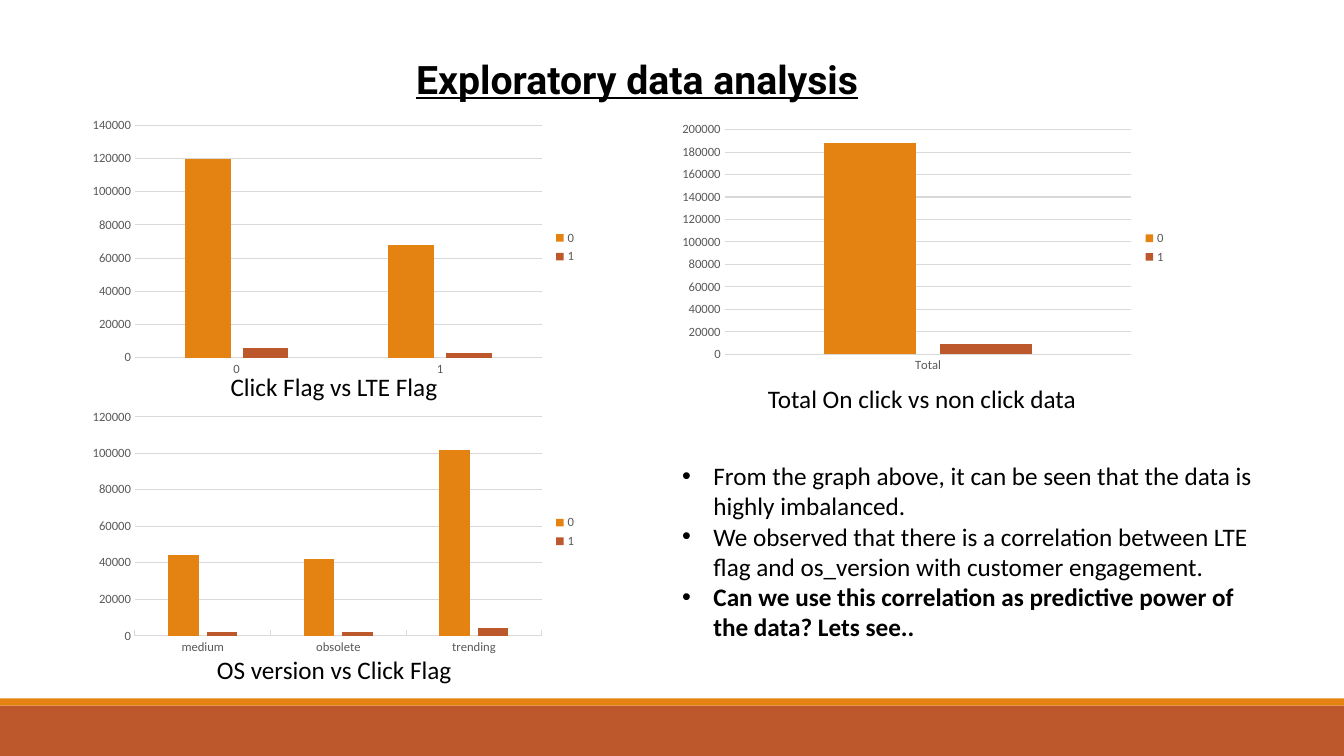
import dataclasses

import lxml.etree
import pptx
import pptx.chart.data
import pptx.dml.color
import pptx.enum.chart
import pptx.enum.shapes
import pptx.enum.text
import pptx.oxml.ns
import pptx.util

Cm = pptx.util.Cm
Pt = pptx.util.Pt


@dataclasses.dataclass(frozen=True)
class Theme:
    orange: str = "E48312"
    rust: str = "BD582C"
    ink: str = "000000"
    label: str = "595959"
    grid: str = "D9D9D9"
    body_font: str = "Calibri"
    title_font: str = "Roboto"
    title_size: int = 28
    body_size: int = 18
    chart_size: int = 10
    label_size: int = 9
    hairline: float = 0.75


class SlideBuilder:
    def __init__(self, page, theme):
        self.page = page
        self.theme = theme

    @staticmethod
    def color(value):
        return pptx.dml.color.RGBColor.from_string(value)

    def style_font(self, font, size, color, name=None):
        font.name = name or self.theme.body_font
        font.size = Pt(size)
        font.color.rgb = self.color(color)

    def style_line(self, line):
        line.color.rgb = self.color(self.theme.grid)
        line.width = Pt(self.theme.hairline)

    def band(self, top, height, color):
        shape = self.page.shapes.add_shape(
            pptx.enum.shapes.MSO_SHAPE.RECTANGLE, 0, Cm(top), Cm(33.87), Cm(height))
        shape.shadow.inherit = False
        shape.fill.solid()
        shape.fill.fore_color.rgb = self.color(color)
        shape.line.fill.background()

    def text_frame(self, place, wrap):
        box = self.page.shapes.add_textbox(*map(Cm, place))
        frame = box.text_frame
        frame.word_wrap = wrap
        frame.auto_size = pptx.enum.text.MSO_AUTO_SIZE.SHAPE_TO_FIT_TEXT
        return frame

    def title(self, text, place):
        para = self.text_frame(place, True).paragraphs[0]
        para.text = text
        self.style_font(para.font, self.theme.title_size, self.theme.ink,
                        self.theme.title_font)
        para.font.bold = True
        para.font.underline = True

    def caption(self, text, place, align=None):
        para = self.text_frame(place, False).paragraphs[0]
        para.text = text
        para.alignment = align
        self.style_font(para.font, self.theme.body_size, self.theme.ink)

    def bullets(self, items, place):
        frame = self.text_frame(place, True)
        for index, (text, bold) in enumerate(items):
            para = frame.add_paragraph() if index else frame.paragraphs[0]
            para.text = text
            props = para._p.get_or_add_pPr()
            props.set("marL", str(Cm(0.79)))
            props.set("indent", str(-Cm(0.79)))
            for tag, key, value in (("a:buFont", "typeface", "Arial"),
                                    ("a:buChar", "char", "•")):
                mark = lxml.etree.SubElement(props, pptx.oxml.ns.qn(tag))
                mark.set(key, value)
            self.style_font(para.font, self.theme.body_size, self.theme.ink)
            para.font.bold = bold

    def column_chart(self, place, categories, series, top_value, ticks=False):
        theme = self.theme
        data = pptx.chart.data.CategoryChartData()
        data.categories = categories
        for name, values in series.items():
            data.add_series(name, values)
        chart = self.page.shapes.add_chart(
            pptx.enum.chart.XL_CHART_TYPE.COLUMN_CLUSTERED,
            *map(Cm, place), data).chart
        self.style_font(chart.font, theme.chart_size, theme.ink)
        chart.has_title = False

        # Columns
        plot = chart.plots[0]
        plot.vary_by_categories = False
        plot.gap_width = 219
        plot.overlap = -27
        for columns, color in zip(plot.series, (theme.orange, theme.rust)):
            columns.format.fill.solid()
            columns.format.fill.fore_color.rgb = self.color(color)

        # Legend
        chart.has_legend = True
        chart.legend.position = pptx.enum.chart.XL_LEGEND_POSITION.RIGHT
        chart.legend.include_in_layout = False
        self.style_font(chart.legend.font, theme.label_size, theme.label)

        # Axes
        tick = pptx.enum.chart.XL_TICK_MARK
        for axis in (chart.category_axis, chart.value_axis):
            axis.major_tick_mark = tick.NONE
            axis.minor_tick_mark = tick.NONE
            self.style_font(axis.tick_labels.font, theme.label_size, theme.label)
        if ticks:
            chart.category_axis.major_tick_mark = tick.INSIDE
        self.style_line(chart.category_axis.format.line)
        values = chart.value_axis
        values.minimum_scale = 0
        values.maximum_scale = top_value
        values.major_unit = 20000
        values.format.line.fill.background()
        values.has_major_gridlines = True
        self.style_line(values.major_gridlines.format.line)


deck = pptx.Presentation()
deck.slide_width, deck.slide_height = Cm(33.87), Cm(19.05)
theme = Theme()
slide = SlideBuilder(deck.slides.add_slide(deck.slide_layouts[6]), theme)
left, right, chart_width = 2.08, 16.94, 12.7

# Footer bands
slide.band(17.78, 1.27, theme.rust)
slide.band(17.6, 0.18, theme.orange)

# Title
slide.title("Exploratory data analysis", (10.24, 1.27, 13.94, 1.45))

# Charts
slide.column_chart((left, 2.84, chart_width, 6.78), ["0", "1"],
                   {"0": (120000, 68000), "1": (6000, 3000)}, 140000)
slide.column_chart((right, 2.95, chart_width, 6.58), ["Total"],
                   {"0": (188000,), "1": (9000,)}, 200000)
slide.column_chart((left, 10.19, chart_width, 6.43),
                   ["medium", "obsolete", "trending"],
                   {"0": (44000, 42000, 102000), "1": (2000, 2000, 4000)},
                   120000, ticks=True)

# Captions
slide.caption("Total On click vs non click data", (19.1, 9.53, 8.38, 1.02))
slide.caption("Click Flag vs LTE Flag", (5.56, 9.22, 5.74, 1.02))
slide.caption("OS version vs Click Flag", (5.16, 16.36, 6.53, 1.02),
              pptx.enum.text.PP_ALIGN.CENTER)

# Findings
slide.bullets([
    ("From the graph above, it can be seen that the data is highly imbalanced.", False),
    ("We observed that there is a correlation between LTE flag and os_version "
     "with customer engagement.", False),
    ("Can we use this correlation as predictive power of the data? Lets see..", True),
], (right, 11.48, 15.19, 4.88))

deck.save("out.pptx")
